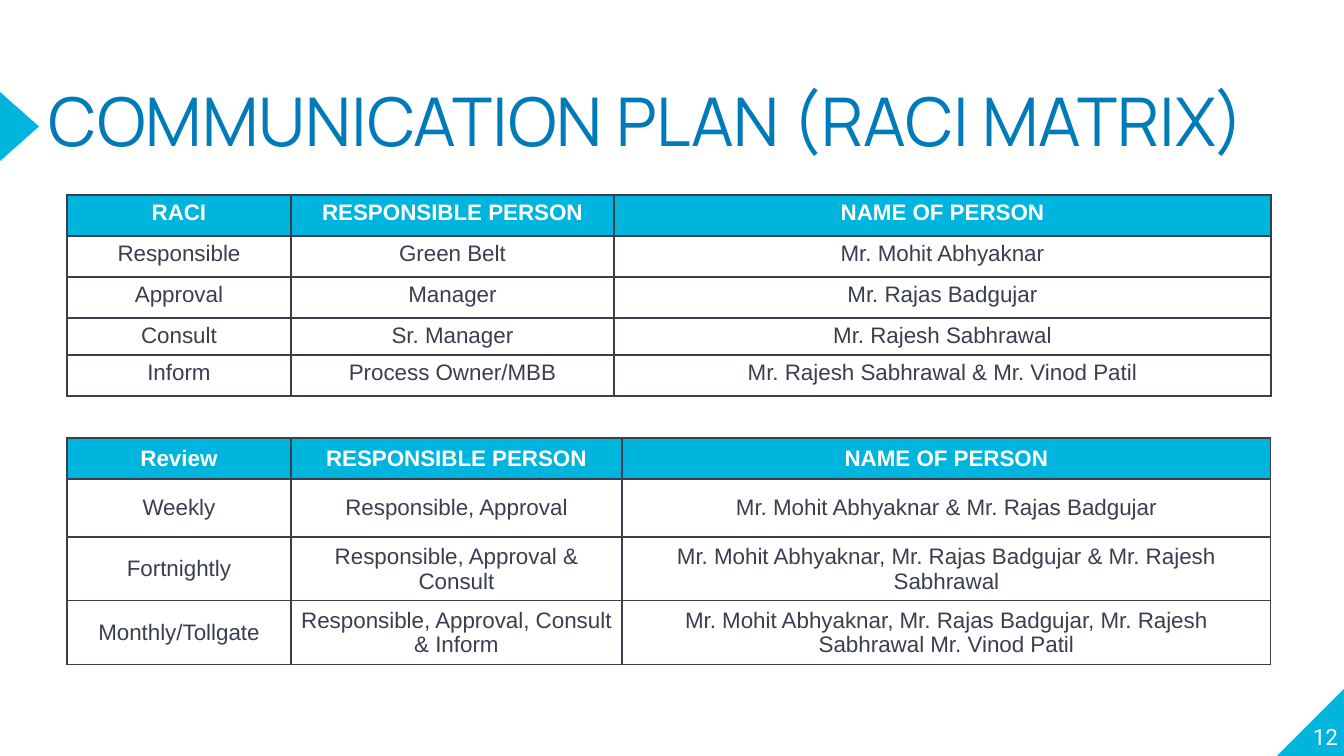
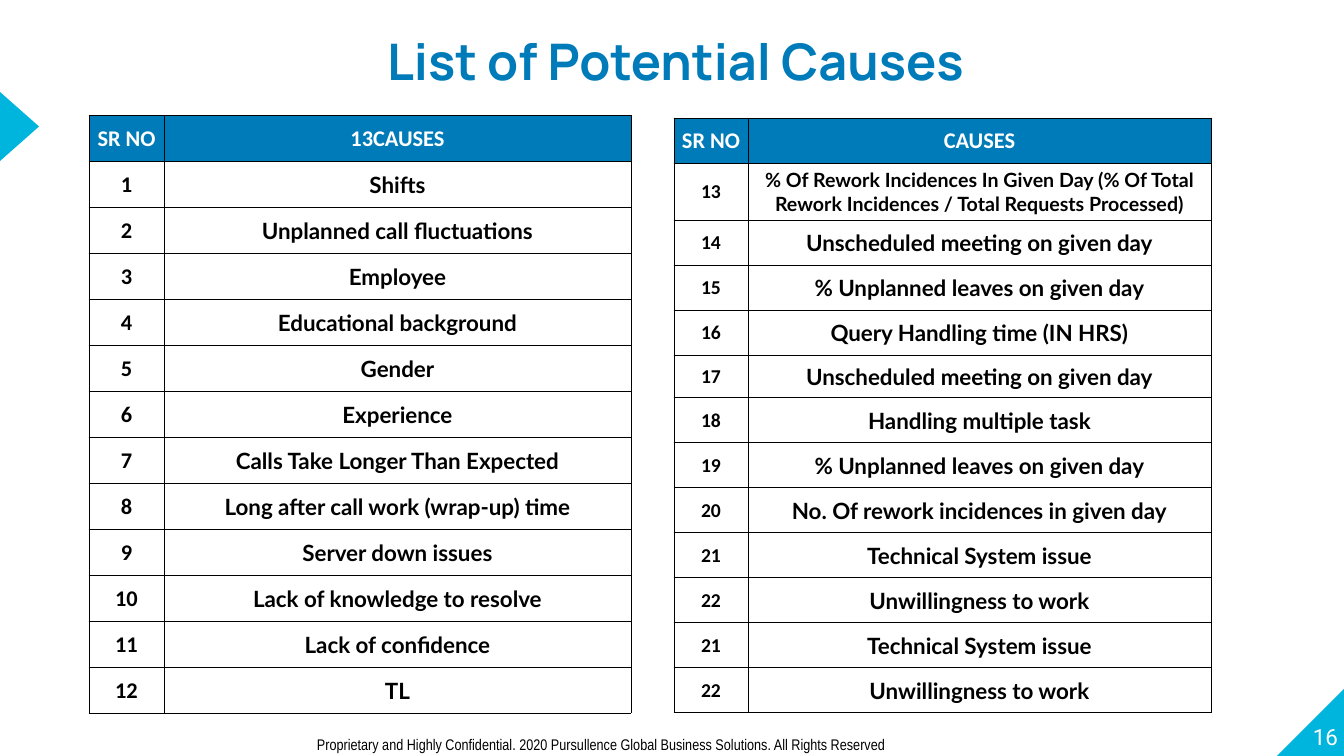
from pptx import Presentation
from pptx.dml.color import RGBColor
from pptx.enum.shapes import MSO_SHAPE
from pptx.enum.text import MSO_ANCHOR, PP_ALIGN
from pptx.oxml import parse_xml
from pptx.oxml.ns import nsdecls
from pptx.util import Pt

CYAN = RGBColor(0x00, 0xB5, 0xDD)
BLUE = RGBColor(0x00, 0x7B, 0xB9)
SLATE = RGBColor(0x3A, 0x3F, 0x50)
BLACK = RGBColor(0x00, 0x00, 0x00)
WHITE = RGBColor(0xFF, 0xFF, 0xFF)

PEOPLE = ["RESPONSIBLE PERSON", "NAME OF PERSON"]
ROLES = [
    ["RACI", *PEOPLE],
    ["Responsible", "Green Belt", "Mr. Mohit Abhyaknar"],
    ["Approval", "Manager", "Mr. Rajas Badgujar"],
    ["Consult", "Sr. Manager", "Mr. Rajesh Sabhrawal"],
    ["Inform", "Process Owner/MBB", "Mr. Rajesh Sabhrawal & Mr. Vinod Patil"],
]
REVIEWS = [
    ["Review", *PEOPLE],
    ["Weekly", "Responsible, Approval", "Mr. Mohit Abhyaknar & Mr. Rajas Badgujar"],
    ["Fortnightly", "Responsible, Approval & Consult",
     "Mr. Mohit Abhyaknar, Mr. Rajas Badgujar & Mr. Rajesh Sabhrawal"],
    ["Monthly/Tollgate", "Responsible, Approval, Consult & Inform",
     "Mr. Mohit Abhyaknar, Mr. Rajas Badgujar, Mr. Rajesh Sabhrawal Mr. Vinod Patil"],
]
FIRST = [
    ("SR NO", "13CAUSES"),
    ("1", "Shifts"),
    ("2", "Unplanned call fluctuations"),
    ("3", "Employee"),
    ("4", "Educational background"),
    ("5", "Gender"),
    ("6", "Experience"),
    ("7", "Calls Take Longer Than Expected"),
    ("8", "Long after call work (wrap-up) time"),
    ("9", "Server down issues"),
    ("10", "Lack of knowledge to resolve"),
    ("11", "Lack of confidence"),
    ("12", "TL"),
]
SECOND = [
    ("SR NO", "CAUSES"),
    ("13", "% Of Rework Incidences In Given Day "
           "(% Of Total Rework Incidences / Total Requests Processed)"),
    ("14", "Unscheduled meeting on given day"),
    ("15", "% Unplanned leaves on given day"),
    ("16", "Query Handling time (IN HRS)"),
    ("17", "Unscheduled meeting on given day"),
    ("18", "Handling multiple task"),
    ("19", "% Unplanned leaves on given day"),
    ("20", "No. Of rework incidences in given day"),
    ("21", "Technical System issue"),
    ("22", "Unwillingness to work"),
    ("21", "Technical System issue"),
    ("22", "Unwillingness to work"),
]
NOTICE = ("Proprietary and Highly Confidential. 2020 Pursullence Global "
          "Business Solutions. All Rights Reserved")

PLAN = dict(head=CYAN, ink=SLATE, line=1, bold=False, pad=None,
            fonts=["Arial"] * 3, sizes=[16] * 3)
CAUSE = dict(head=BLUE, ink=BLACK, line=0.5, bold=True, pad=1,
             fonts=["Calibri", "Lato"], sizes=[16, 16])
SMALL = dict(CAUSE, sizes=[14, 16], odd={(1, 1): 14})


def px(num):
    return round(num * 914400 / 100.8)


def write(para, text, size, font, color, bold=False):
    run = para.add_run()
    run.text = text
    run.font.size = Pt(size)
    run.font.name = font
    run.font.color.rgb = color
    run.font.bold = bold


def label(slide, box, text, size, font, color, bold=False, align=PP_ALIGN.LEFT,
          anchor=MSO_ANCHOR.TOP, space=None, flush=True):
    frame = slide.shapes.add_textbox(*map(px, box)).text_frame
    frame.word_wrap = True
    frame.vertical_anchor = anchor
    if flush:
        frame.margin_left = frame.margin_right = 0
        frame.margin_top = frame.margin_bottom = 0
    para = frame.paragraphs[0]
    para.alignment = align
    para.line_spacing = space
    write(para, text, size, font, color, bold)


def title(slide, box, text, size, **more):
    label(slide, box, text, size, "Manrope", BLUE, **more)


def wedge(slide, kind, box, turn):
    shape = slide.shapes.add_shape(kind, *map(px, box))
    shape.rotation = turn
    shape.shadow.inherit = False
    shape.fill.solid()
    shape.fill.fore_color.rgb = CYAN
    shape.line.fill.background()


def start(deck, number):
    slide = deck.slides.add_slide(deck.slide_layouts[6])
    wedge(slide, MSO_SHAPE.RIGHT_TRIANGLE, (1277, 688, 68, 68), 270)
    wedge(slide, MSO_SHAPE.ISOSCELES_TRIANGLE, (-15, 107, 69, 39), 90)
    label(slide, (1271, 681, 67, 69), number, 16, "Roboto", WHITE,
          align=PP_ALIGN.RIGHT, anchor=MSO_ANCHOR.BOTTOM)
    return slide


def border(cell, color, width):
    props = cell._tc.get_or_add_tcPr()
    for side in "LRTB":
        props.append(parse_xml(
            f'<a:ln{side} {nsdecls("a")} w="{Pt(width)}"><a:solidFill>'
            f'<a:srgbClr val="{color}"/></a:solidFill></a:ln{side}>'))


def grid(slide, left, top, cols, rows, data, look, anchor=MSO_ANCHOR.MIDDLE):
    box = (left, top, sum(cols), sum(rows))
    table = slide.shapes.add_table(len(rows), len(cols), *map(px, box)).table
    table.first_row = table.horz_banding = False
    for col, width in zip(table.columns, cols):
        col.width = px(width)
    for row, high in zip(table.rows, rows):
        row.height = px(high)
    for r, line in enumerate(data):
        for c, text in enumerate(line):
            cell = table.cell(r, c)
            cell.vertical_anchor = anchor
            if look["pad"] is not None:
                cell.margin_left = cell.margin_right = px(look["pad"])
                cell.margin_top = px(look["pad"])
                cell.margin_bottom = 0
            border(cell, look["ink"], look["line"])
            para = cell.text_frame.paragraphs[0]
            para.alignment = PP_ALIGN.CENTER
            if r == 0:
                cell.fill.solid()
                cell.fill.fore_color.rgb = look["head"]
                write(para, text, 16, look["fonts"][0], WHITE, True)
            else:
                cell.fill.background()
                size = look.get("odd", {}).get((r, c), look["sizes"][c])
                write(para, text, size, look["fonts"][c], look["ink"], look["bold"])


def main():
    deck = Presentation()
    deck.slide_width, deck.slide_height = px(1344), px(756)

    slide = start(deck, "12")
    title(slide, (49, 89, 1277, 76), "COMMUNICATION PLAN (RACI MATRIX)", 48,
          anchor=MSO_ANCHOR.MIDDLE, space=0.8)
    grid(slide, 67, 195, [224, 323, 657], [41, 41, 41, 35, 41], ROLES, PLAN,
         MSO_ANCHOR.TOP)
    grid(slide, 67, 438, [224, 331, 649], [41, 58, 60, 60], REVIEWS, PLAN)

    slide = start(deck, "16")
    title(slide, (186, 0, 979, 77), "List of Potential Causes", 36,
          bold=True, align=PP_ALIGN.CENTER, space=1.5)
    label(slide, (307, 730, 858, 29), NOTICE, 11, "Arial Narrow", BLACK, flush=False)
    grid(slide, 89, 115, [75, 467], [46] * 13, FIRST, CAUSE)
    grid(slide, 674, 118, [74, 463], [45, 57, 45, 45, 45, 43] + [45] * 7,
         SECOND, SMALL)

    deck.save("out.pptx")


if __name__ == "__main__":
    main()
